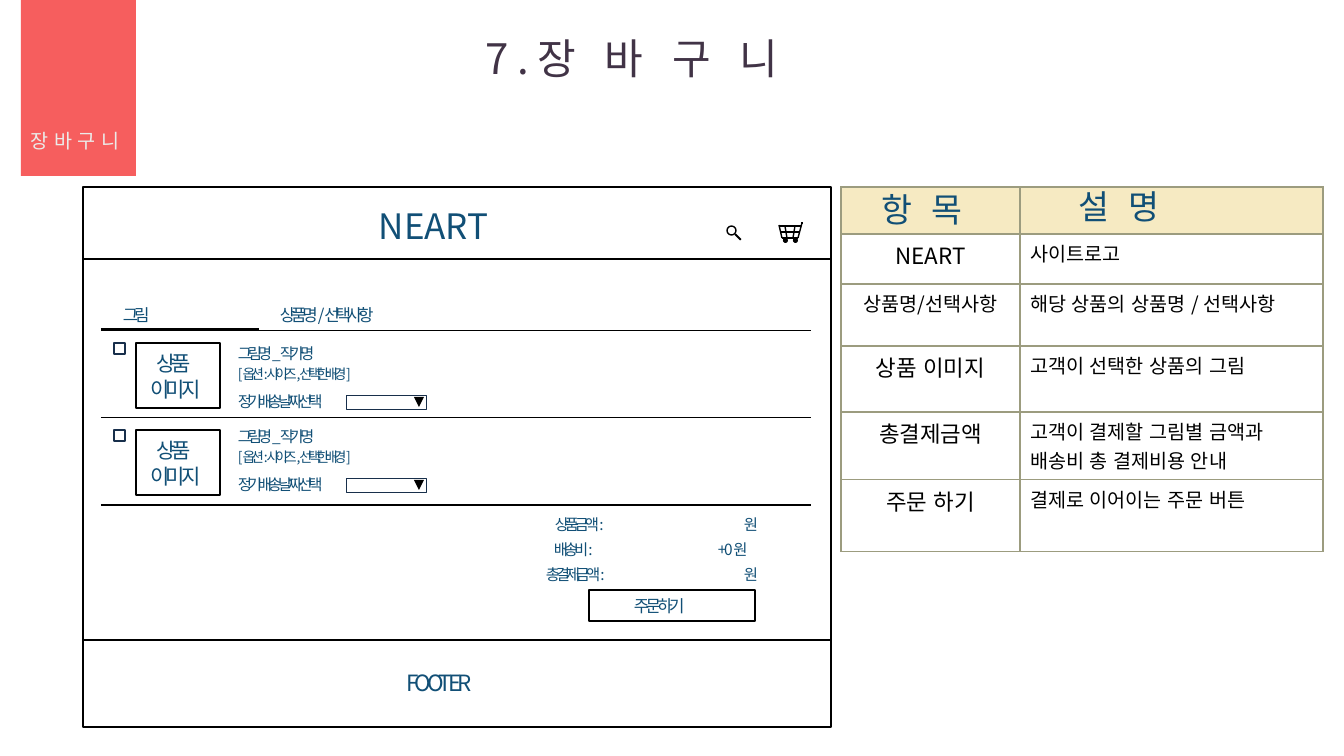
import pptx
import pptx.util
import pptx.dml.color
import pptx.enum.shapes
import pptx.enum.text
import pptx.oxml
import pptx.oxml.ns

SCALE = 914400 / 100.8  # EMU in one px
FONT = "Noto Sans CJK KR"
HUES = {"ink": "000000", "blue": "114F76", "navy": "182F4B", "red": "F64D4D",
        "pale": "EBEBE9", "plum": "413346", "sand": "F4E5B2", "rule": "9C9C7F"}
KIND = pptx.enum.shapes.MSO_SHAPE
ALIGN = pptx.enum.text.PP_ALIGN


def px(num):
    return pptx.util.Emu(round(num * SCALE))


def tint(name):
    return pptx.dml.color.RGBColor.from_string(HUES[name])


def node(parent, tag, **attrs):
    item = parent.makeelement(pptx.oxml.ns.qn(tag), attrs)
    parent.append(item)
    return item


def fade(part, pct):
    hue = next(part.iter(pptx.oxml.ns.qn("a:srgbClr")))
    node(hue, "a:alpha", val=str(pct * 1000))


def write(frame, words, size=14, hue="ink", gap=0, align=ALIGN.LEFT, lead=None, dent=0):
    frame.word_wrap = True
    para = frame.paragraphs[0]
    para.alignment = align
    if lead:
        para.line_spacing = lead
    if dent:
        para._p.get_or_add_pPr().set("indent", str(px(dent)))
    run = para.add_run()
    run.text = words
    run.font.size = pptx.util.Pt(size)
    run.font.color.rgb = tint(hue)
    run.font.name = FONT
    props = run.font._element
    props.set("lang", "ko-KR")
    node(props, "a:ea", typeface=FONT)
    if gap:
        props.set("spc", str(round(gap * 100)))


def label(slide, x, y, w, h, words, **form):
    form = {"hue": "blue", **form}
    write(slide.shapes.add_textbox(px(x), px(y), px(w), px(h)).text_frame, words, **form)


def shape(slide, x, y, w, h, kind=KIND.RECTANGLE, fill=None, line=None, width=1, turn=0):
    item = slide.shapes.add_shape(kind, px(x), px(y), px(w), px(h))
    item.shadow.inherit = False
    item.rotation = turn
    if fill:
        item.fill.solid()
        item.fill.fore_color.rgb = tint(fill)
    else:
        item.fill.background()
    if line:
        item.line.color.rgb = tint(line)
        item.line.width = pptx.util.Pt(width)
    else:
        item.line.fill.background()
    return item


def rule(slide, x1, y1, x2, y2, width=1):
    item = slide.shapes.add_connector(
        pptx.enum.shapes.MSO_CONNECTOR.STRAIGHT, px(x1), px(y1), px(x2), px(y2))
    item.line.color.rgb = tint("ink")
    item.line.width = pptx.util.Pt(width)
    node(item._element.spPr, "a:effectLst")


def edge(cell):
    props = cell._tc.get_or_add_tcPr()
    for spot, side in enumerate(("L", "R", "T", "B")):
        line = node(props, f"a:ln{side}", w="12700")
        node(node(line, "a:solidFill"), "a:srgbClr", val=HUES["rule"])
        props.insert(spot, line)  # borders come before the fill


def table(slide, x, y, cols, rows, data):
    grid = slide.shapes.add_table(
        len(rows), len(cols), px(x), px(y), px(sum(cols)), px(sum(rows))).table
    grid.first_row = grid.horz_banding = False
    for col, wide in zip(grid.columns, cols):
        col.width = px(wide)
    for row, high in zip(grid.rows, rows):
        row.height = px(high)
    for cell in grid.iter_cells():
        cell.fill.background()
    for cell in grid.rows[0].cells:
        cell.fill.solid()
        cell.fill.fore_color.rgb = tint("sand")
        fade(cell._tc, 79)
    for cell in grid.iter_cells():
        edge(cell)
    for num, (name, size, note) in enumerate(data, 1):
        write(grid.cell(num, 0).text_frame, name, size=size, align=ALIGN.CENTER)
        write(grid.cell(num, 1).text_frame, note)


def lens(slide):
    shape(slide, 727, 226, 9, 9, KIND.OVAL, line="ink")
    shape(slide, 737, 233, 2, 8, KIND.ROUNDED_RECTANGLE, fill="ink", turn=315)


def cart(slide):
    for ends in ((779, 226, 801, 226), (781, 232, 800, 232), (782, 238, 798, 238),
                 (779, 225, 782, 238), (802, 223, 798, 238), (785, 226, 787, 238),
                 (795, 226, 793, 238), (801, 223, 803, 223)):
        rule(slide, *ends)
    for x in (783, 793):
        shape(slide, x, 238, 5, 5, KIND.OVAL, fill="ink")


def item(slide, top, text):
    shape(slide, 136, top, 84, 65, line="ink")
    label(slide, 141, top + 3, 76, 62, "상품 이미지", size=15, gap=-3, dent=6)
    shape(slide, 114, top, 11, 11, line="navy")
    label(slide, 228, text, 150, 28, "그림명 _ 작가명", size=11, gap=-3)
    label(slide, 228, text + 22, 174, 26, "[옵션 : 사이즈, 선택한 배경 ]", size=10, gap=-3)
    label(slide, 228, text + 48, 150, 28, "정기 배송 날짜 선택", size=11, gap=-3)
    shape(slide, 346, text + 56, 80, 14, line="navy", width=0.5)
    shape(slide, 414, text + 58, 10, 10, KIND.FLOWCHART_MERGE, fill="ink")


def main():
    deck = pptx.Presentation()
    deck.slide_width, deck.slide_height = px(1344), px(756)
    slide = deck.slides.add_slide(deck.slide_layouts[6])

    # Description table
    table(slide, 841, 187, (179, 303), (47, 50, 62, 66, 67, 72), (
        ("NEART", 16, "사이트로고"),
        ("상품명/선택사항", 14, "해당 상품의 상품명 / 선택사항"),
        ("상품 이미지", 16, "고객이 선택한 상품의 그림"),
        ("총결제금액", 16, "고객이 결제할 그림별 금액과 배송비 총 결제비용 안내"),
        ("주문 하기", 16, "결제로 이어이는 주문 버튼")))
    label(slide, 872, 184, 139, 49, "항 목", size=24, gap=3.5)
    label(slide, 1069, 181, 154, 49, "설 명", size=24, gap=3.5)

    # Page frame, header and footer
    shape(slide, 83, 187, 748, 540, line="ink", width=1.5)
    for y in (259, 640):
        rule(slide, 83, y, 831, y)
    label(slide, 369, 200, 158, 51, "NEART", size=25)
    label(slide, 397, 664, 101, 36, "FOOTER", size=16, gap=-3)
    lens(slide)
    cart(slide)

    # Basket list
    for y in (331, 418, 505):
        rule(slide, 101, y, 811, y, 0.75)
    rule(slide, 101, 329, 259, 329, 1.5)
    label(slide, 113, 300, 135, 30, "그림", size=12, gap=-3)
    label(slide, 270, 300, 135, 30, "상품명/선택사항", size=12, gap=-3)
    item(slide, 343, 339)
    item(slide, 430, 422)

    # Sums and order button
    sums = ((545, "상품 금액 :", 734, "원", -3), (544, "배 송 비 :", 708, "+ 0 원", -2),
            (536, "총 결제금액 :", 734, "원", -3))
    for num, (left, name, right, cost, gap) in enumerate(sums):
        y = 510 + 25 * num
        label(slide, left, y, 97, 28, name, size=11, gap=-3)
        label(slide, right, y, 775 - right, 28, cost, size=11, gap=gap)
    shape(slide, 589, 590, 166, 31, line="ink")
    label(slide, 624, 591, 106, 29, "주 문 하 기", size=12, gap=-3)

    # Side tab and title
    tab = shape(slide, 21, 0, 115, 176, fill="red")
    fade(tab._element.spPr, 90)
    label(slide, 21, 124, 122, 34, "장 바 구 니", hue="pale")
    label(slide, 476, 2, 425, 79, "7.장 바 구 니", size=30, hue="plum", gap=6, lead=1.5)

    deck.save("out.pptx")


if __name__ == "__main__":
    main()
